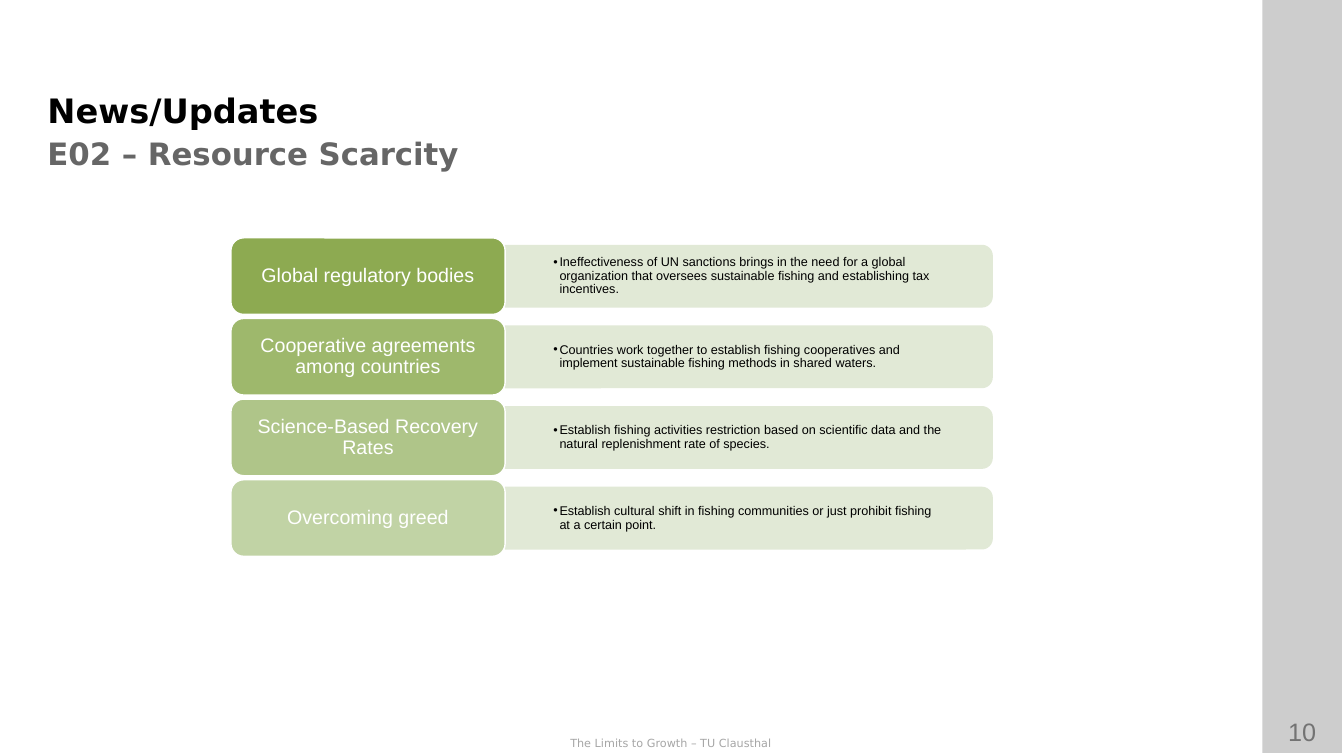
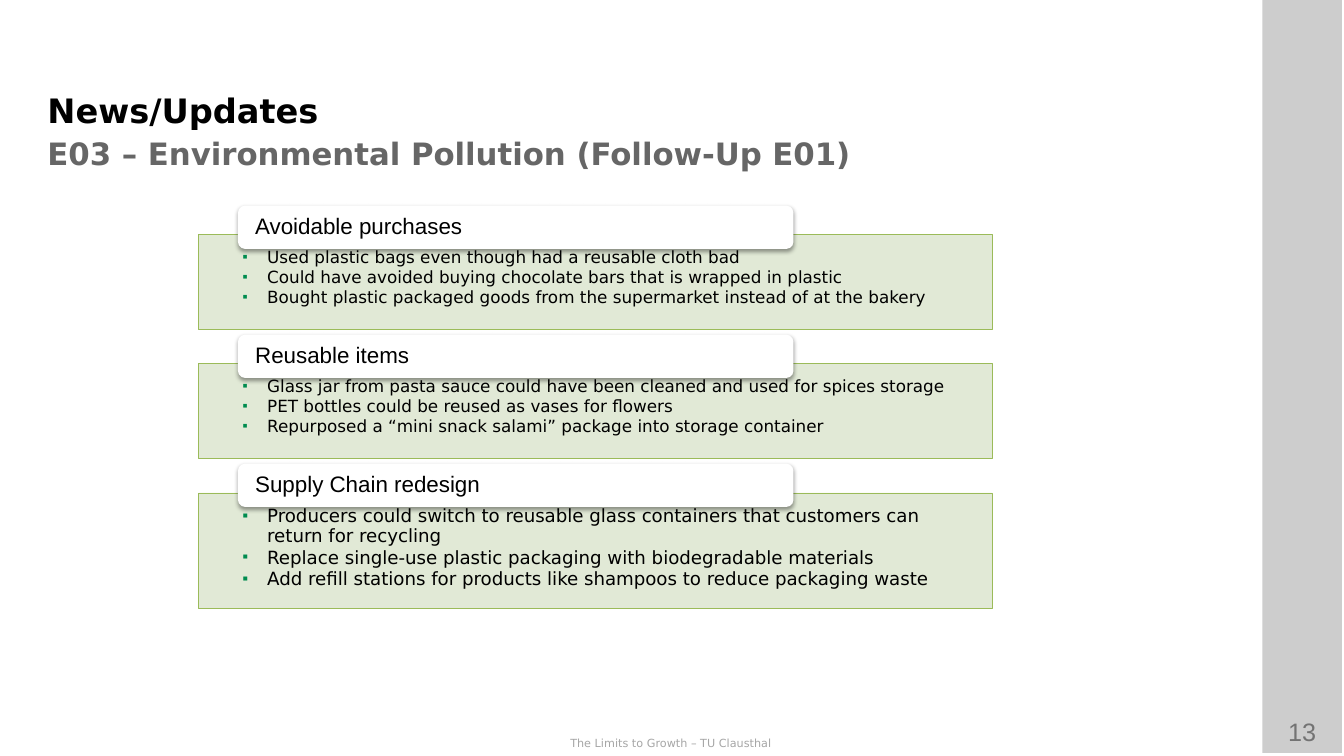
from dataclasses import dataclass

from lxml.etree import SubElement
from pptx import Presentation
from pptx.dml.color import RGBColor
from pptx.enum.shapes import MSO_SHAPE
from pptx.enum.text import MSO_ANCHOR, MSO_AUTO_SIZE, PP_ALIGN
from pptx.oxml.ns import qn
from pptx.shapes.autoshape import Shape
from pptx.slide import Slide
from pptx.util import Inches, Pt

BLACK = "000000"
WHITE = "FFFFFF"
GRAY = "666666"
SIDEBAR_GRAY = "CDCDCD"
NUMBER_GRAY = "737373"
FOOTER_GRAY = "A6A6A6"
PANEL_GREEN = "E1E9D6"
OUTLINE_GREEN = "9BBB59"
BULLET_GREEN = "008C4F"
SANS = "DejaVu Sans"
ARIAL = "Arial"
DEFAULT_INSETS = (0.1, 0.05, 0.1, 0.05)


@dataclass(frozen=True)
class Box:
    """Position and size in inches."""

    left: float
    top: float
    width: float
    height: float

    def lengths(self) -> tuple[Inches, Inches, Inches, Inches]:
        """Return the four measures as lengths."""
        return (Inches(self.left), Inches(self.top),
                Inches(self.width), Inches(self.height))


@dataclass(frozen=True)
class Bullet:
    """Marker of a list paragraph with its hanging indent in inches."""

    character: str
    color: str
    percent: int
    indent: float


@dataclass(frozen=True)
class Measure:
    """A labelled measure with its explanation."""

    label: str
    explanation: str
    color: str


@dataclass(frozen=True)
class Topic:
    """A headed list in an outlined panel."""

    heading: str
    points: tuple[str, ...]
    height: float
    size: int


DOT = Bullet("•", BLACK, 100, 0.06)
SQUARE = Bullet("■", BULLET_GREEN, 45, 0.24)

MEASURES = (
    Measure("Global regulatory bodies",
            "Ineffectiveness of UN sanctions brings in the need for a global organization "
            "that oversees sustainable fishing and establishing tax incentives.", "8DAA51"),
    Measure("Cooperative agreements among countries",
            "Countries work together to establish fishing cooperatives and implement "
            "sustainable fishing methods in shared waters.", "9EB86C"),
    Measure("Science-Based Recovery Rates",
            "Establish fishing activities restriction based on scientific data and the "
            "natural replenishment rate of species.", "AFC589"),
    Measure("Overcoming greed",
            "Establish cultural shift in fishing communities or just prohibit fishing at a "
            "certain point.", "C1D3A5"),
)

TOPICS = (
    Topic("Avoidable purchases", (
        "Used plastic bags even though had a reusable cloth bad",
        "Could have avoided buying chocolate bars that is wrapped in plastic",
        "Bought plastic packaged goods from the supermarket instead of at the bakery",
    ), 0.94, 12),
    Topic("Reusable items", (
        "Glass jar from pasta sauce could have been cleaned and used for spices storage",
        "PET bottles could be reused as vases for flowers",
        "Repurposed a “mini snack salami” package into storage container",
    ), 0.94, 12),
    Topic("Supply Chain redesign", (
        "Producers could switch to reusable glass containers that customers can return "
        "for recycling",
        "Replace single-use plastic packaging with biodegradable materials",
        "Add refill stations for products like shampoos to reduce packaging waste",
    ), 1.15, 13),
)


def rgb(color: str) -> RGBColor:
    """Turn a hex string into a colour."""
    return RGBColor.from_string(color)


def add_bullet(paragraph, bullet: Bullet) -> None:
    """Give a paragraph a marker and a hanging indent."""
    properties = paragraph._p.get_or_add_pPr()
    properties.set("marL", str(Inches(bullet.indent)))
    properties.set("indent", str(-Inches(bullet.indent)))
    marker_color = SubElement(properties, qn("a:buClr"))
    SubElement(marker_color, qn("a:srgbClr"), val=bullet.color)
    SubElement(properties, qn("a:buSzPct"), val=str(bullet.percent * 1000))
    SubElement(properties, qn("a:buFont"), typeface=ARIAL)
    SubElement(properties, qn("a:buChar"), char=bullet.character)


def write_text(shape: Shape, *lines: str, size: float, font: str = SANS, color: str = BLACK,
               bold: bool = False, align: PP_ALIGN = PP_ALIGN.LEFT,
               anchor: MSO_ANCHOR = MSO_ANCHOR.TOP,
               insets: tuple[float, float, float, float] = DEFAULT_INSETS,
               line_spacing: float = 1.0, space_after: float = 0,
               bullet: Bullet | None = None) -> None:
    """Write one paragraph per line into a shape."""
    frame = shape.text_frame
    frame.word_wrap = True
    frame.auto_size = MSO_AUTO_SIZE.NONE
    frame.vertical_anchor = anchor
    (frame.margin_left, frame.margin_top,
     frame.margin_right, frame.margin_bottom) = map(Inches, insets)
    for index, line in enumerate(lines):
        paragraph = frame.add_paragraph() if index else frame.paragraphs[0]
        paragraph.alignment = align
        paragraph.line_spacing = line_spacing
        paragraph.space_before = Pt(0)
        paragraph.space_after = Pt(space_after)
        if bullet:
            add_bullet(paragraph, bullet)
        run = paragraph.add_run()
        run.text = line
        run.font.size = Pt(size)
        run.font.name = font
        run.font.bold = bold
        run.font.color.rgb = rgb(color)


def add_text(slide: Slide, box: Box, *lines: str, **text_format) -> None:
    """Add a text box."""
    write_text(slide.shapes.add_textbox(*box.lengths()), *lines, **text_format)


def add_panel(slide: Slide, preset: MSO_SHAPE, box: Box, fill: str,
              line: str | None = None, line_width: float = 1) -> Shape:
    """Add a filled preset shape without a shadow."""
    shape = slide.shapes.add_shape(preset, *box.lengths())
    shape.shadow.inherit = False
    shape.fill.solid()
    shape.fill.fore_color.rgb = rgb(fill)
    if line:
        shape.line.color.rgb = rgb(line)
        shape.line.width = Pt(line_width)
    else:
        shape.line.fill.background()
    return shape


def add_soft_shadow(shape: Shape) -> None:
    """Cast a soft shadow straight down."""
    effects = shape._element.spPr.find(qn("a:effectLst"))
    shadow = SubElement(effects, qn("a:outerShdw"), blurRad=str(Pt(3.1)),
                        dist=str(Pt(1.6)), dir="5400000", rotWithShape="0")
    color = SubElement(shadow, qn("a:srgbClr"), val=BLACK)
    SubElement(color, qn("a:alpha"), val="38000")


def add_base_slide(presentation: Presentation, subtitle: str, number: int) -> Slide:
    """Add a slide with sidebar, number, footer, title and subtitle."""
    slide = presentation.slides.add_slide(presentation.slide_layouts[5])
    add_panel(slide, MSO_SHAPE.RECTANGLE, Box(12.52, 0, 0.79, 7.47), SIDEBAR_GRAY)
    add_text(slide, Box(12.51, 7.06, 0.81, 0.4), str(number), size=18, font=ARIAL,
             color=NUMBER_GRAY, align=PP_ALIGN.CENTER)
    add_text(slide, Box(0, 7.26, 13.31, 0.23), "The Limits to Growth – TU Clausthal",
             size=8, color=FOOTER_GRAY, align=PP_ALIGN.CENTER)
    title = slide.shapes.title
    title.left, title.top, title.width, title.height = Box(0.37, 0.84, 11.74, 0.53).lengths()
    write_text(title, "News/Updates", size=24, bold=True)
    add_text(slide, Box(0.47, 1.26, 11.31, 0.52), subtitle, size=22, color=GRAY, bold=True,
             anchor=MSO_ANCHOR.MIDDLE, insets=(0, 0, 0, 0))
    return slide


def add_measure(slide: Slide, measure: Measure, top: float) -> None:
    """Add a coloured label and its explanation to the right."""
    label_box = Box(2.29, top, 2.72, 0.76)
    length, thickness = 4.83, 0.61
    panel_left = label_box.left + label_box.width
    center = top + label_box.height / 2
    upright_box = Box(panel_left + (length - thickness) / 2, center - length / 2,
                      thickness, length)
    panel = add_panel(slide, MSO_SHAPE.ROUND_2_SAME_RECTANGLE, upright_box,
                      PANEL_GREEN, PANEL_GREEN)
    panel.rotation = 90
    add_text(slide, Box(panel_left, center - thickness / 2, length, thickness),
             measure.explanation, size=9, font=ARIAL, anchor=MSO_ANCHOR.MIDDLE,
             insets=(0.48, 0.03, 0.5, 0.03), line_spacing=0.9, space_after=1.4, bullet=DOT)
    label = add_panel(slide, MSO_SHAPE.ROUNDED_RECTANGLE, label_box, measure.color, WHITE)
    write_text(label, measure.label, size=14, font=ARIAL, color=WHITE,
               align=PP_ALIGN.CENTER, anchor=MSO_ANCHOR.MIDDLE,
               insets=(0.06, 0.03, 0.06, 0.03), line_spacing=0.9, space_after=4.9)


def add_topic(slide: Slide, topic: Topic, top: float) -> None:
    """Add an outlined list panel with a heading card over its top edge."""
    panel = add_panel(slide, MSO_SHAPE.RECTANGLE, Box(1.97, top, 7.87, topic.height),
                      PANEL_GREEN, OUTLINE_GREEN, 0.5)
    write_text(panel, *topic.points, size=topic.size, insets=(0.44, 0.14, 0.44, 0.07),
               line_spacing=0.9, space_after=1.4, bullet=SQUARE)
    card = add_panel(slide, MSO_SHAPE.ROUNDED_RECTANGLE, Box(2.36, top - 0.29, 5.51, 0.43),
                     WHITE)
    add_soft_shadow(card)
    write_text(card, topic.heading, size=16, font=ARIAL, anchor=MSO_ANCHOR.MIDDLE,
               insets=(0.15, 0, 0.15, 0), line_spacing=0.9, space_after=5.6)


def main() -> None:
    """Build and save the presentation."""
    presentation = Presentation()
    presentation.slide_width = Inches(13.33)
    presentation.slide_height = Inches(7.5)
    scarcity = add_base_slide(presentation, "E02 – Resource Scarcity", 10)
    for index, measure in enumerate(MEASURES):
        add_measure(scarcity, measure, 2.36 + index * 0.8)
    pollution = add_base_slide(presentation,
                               "E03 – Environmental Pollution (Follow-Up E01)", 13)
    for index, topic in enumerate(TOPICS):
        add_topic(pollution, topic, 2.33 + index * 1.28)
    presentation.save("out.pptx")


if __name__ == "__main__":
    main()
